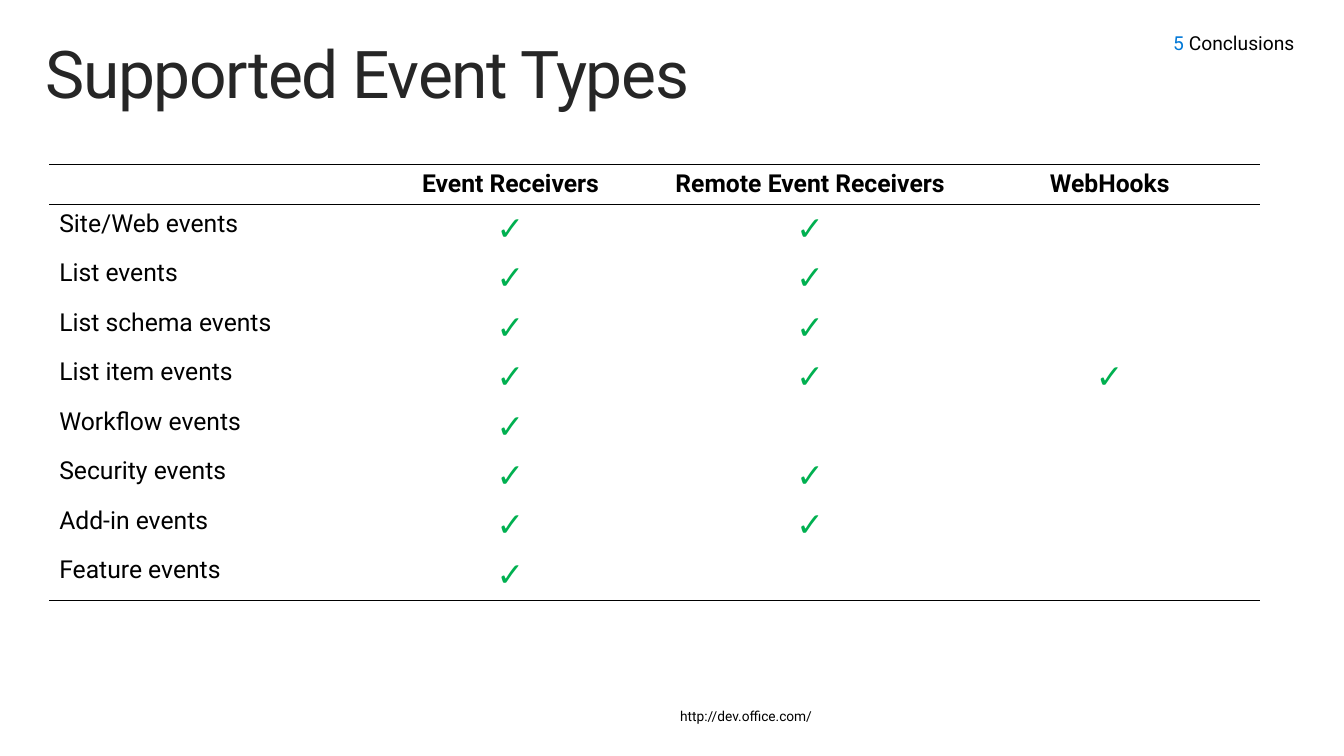
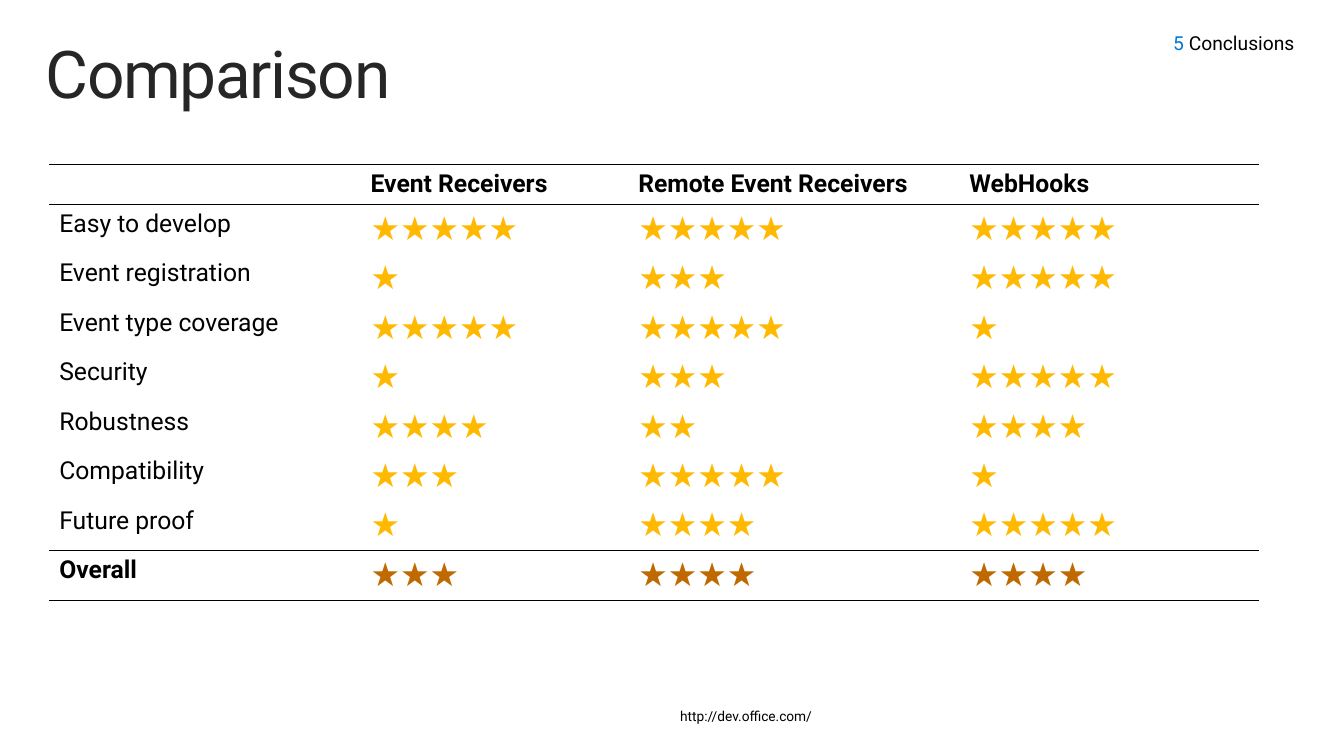
import dataclasses

import lxml.etree
import pptx
import pptx.dml.color
import pptx.enum.text
import pptx.oxml.ns
import pptx.util

Cm = pptx.util.Cm
Pt = pptx.util.Pt
ALIGN = pptx.enum.text.PP_ALIGN
ANCHOR = pptx.enum.text.MSO_ANCHOR
AUTO_SIZE = pptx.enum.text.MSO_AUTO_SIZE
TITLE_ONLY = 5


@dataclasses.dataclass(frozen=True)
class Theme:
    font: str = "Roboto"
    black: str = "000000"
    title: str = "262626"
    accent: str = "0078D7"
    check: str = "00B050"
    star: str = "FFB900"
    overall_star: str = "BF6900"
    title_size: int = 48
    table_size: int = 18
    symbol_size: int = 24
    section_size: int = 14
    footer_size: int = 10
    rule_width: int = 1


THEME = Theme()

FOOTER = "http://dev.office.com/"
SECTION_NUMBER, SECTION_NAME = "5 ", "Conclusions"
TECHNOLOGIES = ["Event Receivers", "Remote Event Receivers", "WebHooks"]

# Symbols per technology, in the order of TECHNOLOGIES
EVENT_SUPPORT = [
    ("Site/Web events", (1, 1, 0)),
    ("List events", (1, 1, 0)),
    ("List schema events", (1, 1, 0)),
    ("List item events", (1, 1, 1)),
    ("Workflow events", (1, 0, 0)),
    ("Security events", (1, 1, 0)),
    ("Add-in events", (1, 1, 0)),
    ("Feature events", (1, 0, 0)),
]
RATINGS = [
    ("Easy to develop", (5, 5, 5)),
    ("Event registration", (1, 3, 5)),
    ("Event type coverage", (5, 5, 1)),
    ("Security", (1, 3, 5)),
    ("Robustness", (4, 2, 4)),
    ("Compatibility", (3, 5, 1)),
    ("Future proof", (1, 4, 5)),
    ("Overall", (3, 4, 4)),
]


def add_run(paragraph, text, size, color=THEME.black, bold=False):
    run = paragraph.add_run()
    run.text = text
    run.font.name = THEME.font
    run.font.size = Pt(size)
    run.font.bold = bold
    run.font.color.rgb = pptx.dml.color.RGBColor.from_string(color)
    return run


def set_margins(frame, left, top, right, bottom):
    frame.margin_left, frame.margin_top = Cm(left), Cm(top)
    frame.margin_right, frame.margin_bottom = Cm(right), Cm(bottom)


def format_title(slide, text):
    title = slide.shapes.title
    title.left, title.top = Cm(0.76), Cm(0.81)
    title.width, title.height = Cm(33.02), Cm(2.54)
    frame = title.text_frame
    frame.auto_size = AUTO_SIZE.NONE
    frame.word_wrap = True
    frame.vertical_anchor = ANCHOR.TOP
    set_margins(frame, 0.41, 0.25, 0.41, 0.25)
    paragraph = frame.paragraphs[0]
    paragraph.alignment = ALIGN.LEFT
    paragraph.line_spacing = 0.9
    run = add_run(paragraph, text, THEME.title_size, THEME.title)
    run.font._element.set("spc", "-100")


def add_section_tag(slide):
    box = slide.shapes.add_textbox(Cm(22.12), Cm(0.81), Cm(11.66), Cm(1.04))
    frame = box.text_frame
    frame.word_wrap = True
    set_margins(frame, 0.25, 0, 0.51, 0)
    paragraph = frame.paragraphs[0]
    paragraph.alignment = ALIGN.RIGHT
    add_run(paragraph, SECTION_NUMBER, THEME.section_size, THEME.accent)
    add_run(paragraph, SECTION_NAME, THEME.section_size)


def add_footer(slide):
    box = slide.shapes.add_textbox(Cm(17.07), Cm(18.06), Cm(4.22), Cm(0.89))
    frame = box.text_frame
    frame.word_wrap = False
    frame.auto_size = AUTO_SIZE.SHAPE_TO_FIT_TEXT
    set_margins(frame, 0.41, 0.25, 0.41, 0.25)
    paragraph = frame.paragraphs[0]
    paragraph.line_spacing = 0.9
    add_run(paragraph, FOOTER, THEME.footer_size)


def add_titled_slide(presentation, title):
    slide = presentation.slides.add_slide(presentation.slide_layouts[TITLE_ONLY])
    add_footer(slide)
    format_title(slide, title)
    add_section_tag(slide)
    return slide


def set_borders(cell, top, bottom):
    """Draw the top and bottom rules that are wanted and hide all other edges."""
    qn = pptx.oxml.ns.qn
    properties = cell._tc.get_or_add_tcPr()
    edges = {"a:lnL": False, "a:lnR": False, "a:lnT": top, "a:lnB": bottom}
    for tag, visible in edges.items():
        line = lxml.etree.SubElement(properties, qn(tag))
        if visible:
            line.set("w", str(Pt(THEME.rule_width)))
            fill = lxml.etree.SubElement(line, qn("a:solidFill"))
            lxml.etree.SubElement(fill, qn("a:srgbClr")).set("val", THEME.black)
        else:
            lxml.etree.SubElement(line, qn("a:noFill"))


def add_symbol_table(slide, rows, symbol, color, widths, alignment, has_total=False):
    """Add a ruled table that shows each count as that many symbols."""
    row_count = len(rows) + 1
    total_row = row_count - 1 if has_total else None
    rules = {0, 1, row_count, total_row}
    header_height, row_height = 1.04, 1.25
    table = slide.shapes.add_table(
        row_count, len(widths), Cm(1.27), Cm(4.22), Cm(sum(widths)),
        Cm(header_height + row_height * len(rows))).table
    table.first_row = table.horz_banding = False
    for column, width in zip(table.columns, widths):
        column.width = Cm(width)

    lines = [("", TECHNOLOGIES)]
    lines += [(label, [symbol * count for count in counts]) for label, counts in rows]
    for row, (label, values) in enumerate(lines):
        is_header, is_total = row == 0, row == total_row
        table.rows[row].height = Cm(header_height if is_header else row_height)
        value_size = THEME.table_size if is_header else THEME.symbol_size
        value_color = (THEME.black if is_header
                       else THEME.overall_star if is_total else color)
        for column, text in enumerate([label, *values]):
            cell = table.cell(row, column)
            set_borders(cell, row in rules, row + 1 in rules)
            cell.fill.background()
            if not text:
                continue
            paragraph = cell.text_frame.paragraphs[0]
            if column == 0:
                add_run(paragraph, text, THEME.table_size, bold=is_total)
            else:
                paragraph.alignment = alignment
                add_run(paragraph, text, value_size, value_color, bold=True)


def main():
    presentation = pptx.Presentation()
    presentation.slide_width, presentation.slide_height = Cm(34.54), Cm(19.43)

    slide = add_titled_slide(presentation, "Supported Event Types")
    add_symbol_table(slide, EVENT_SUPPORT, "✓", THEME.check,
                     [8, 7.7, 7.7, 7.7], ALIGN.CENTER)

    slide = add_titled_slide(presentation, "Comparison")
    add_symbol_table(slide, RATINGS, "★", THEME.star,
                     [8, 6.88, 8.51, 7.7], ALIGN.LEFT, has_total=True)

    presentation.save("out.pptx")


if __name__ == "__main__":
    main()
